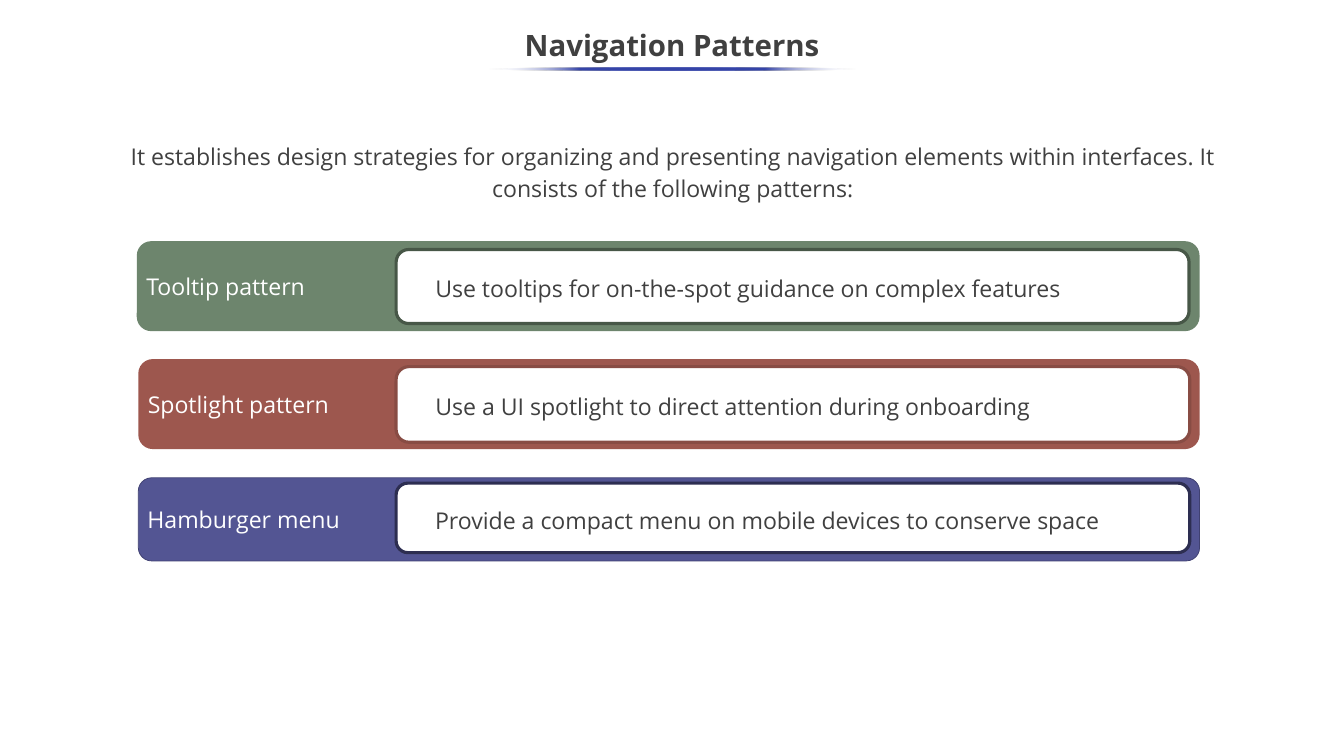
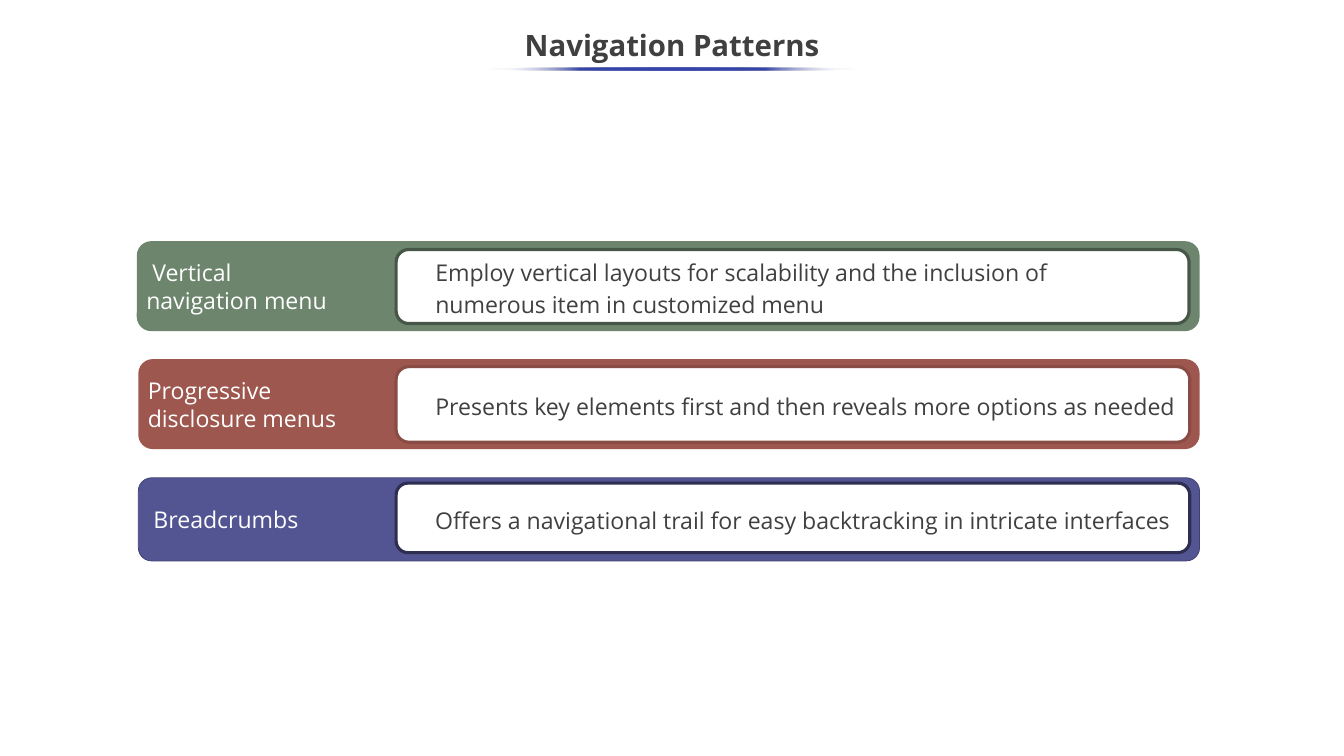
import pptx
import pptx.dml.color
import pptx.enum.shapes
import pptx.enum.text
import pptx.oxml
import pptx.oxml.ns
import pptx.util

PX = 9144  # 100 px to the inch
FONT = "Open Sans"
COLORS = {
    "white": "FFFFFF", "text": "404040", "rule": "3645A9",
    "green": "6D856D", "green_edge": "475747",
    "red": "9D574E", "red_edge": "884C44",
    "blue": "535593", "blue_edge": "2D2E51", "blue_line": "404172",
}
TITLE = "Navigation Patterns"
INTRO = ("It establishes design strategies for organizing and presenting navigation "
         "elements within interfaces. It consists of the following patterns:")

# Each band: fill, outline, card edge, band frame, card frame
BANDS = [
    ("green", None, "green_edge", (181, 319, 1406, 119), (524, 330, 1049, 98)),
    ("red", None, "red_edge", (183, 475, 1404, 119), (524, 485, 1050, 100)),
    ("blue", "blue_line", "blue_edge", (183, 632, 1404, 110), (524, 639, 1050, 92)),
]

# Within a text, \n starts a paragraph and \v breaks a line
SLIDES = [
    (INTRO, [
        ("Tooltip pattern", "Use tooltips for on-the-spot guidance on complex features"),
        ("Spotlight pattern", "Use a UI spotlight to direct attention during onboarding"),
        ("Hamburger menu", "Provide a compact menu on mobile devices to conserve space"),
    ]),
    (None, [
        (" Vertical\nnavigation menu",
         "Employ vertical layouts for scalability and the inclusion of \v"
         "numerous item in customized menu"),
        ("Progressive \vdisclosure menus",
         "Presents key elements first and then reveals more options as needed"),
        (" Breadcrumbs",
         "Offers a navigational trail for easy backtracking in intricate interfaces"),
    ]),
]


def rgb(name):
    return pptx.dml.color.RGBColor.from_string(COLORS[name])


def scaled(frame):
    return [length * PX for length in frame]


def write(box, text, size=22, color="text", bold=False, align="LEFT",
          anchor="MIDDLE", spacing=1.0, indent=0, insets=(7, 4)):
    frame = box.text_frame
    frame.word_wrap = True
    frame.auto_size = pptx.enum.text.MSO_AUTO_SIZE.NONE
    frame.vertical_anchor = pptx.enum.text.MSO_ANCHOR[anchor]
    frame.margin_left = frame.margin_right = insets[0] * PX
    frame.margin_top = frame.margin_bottom = insets[1] * PX
    frame.text = text
    for para in frame.paragraphs:
        para.alignment = pptx.enum.text.PP_ALIGN[align]
        para.line_spacing = spacing
        if indent:
            properties = para._p.get_or_add_pPr()
            properties.set("marL", str(indent * PX))
            properties.set("indent", "0")
        for span in para.runs:
            span.font.name = FONT
            span.font.size = pptx.util.Pt(size)
            span.font.bold = bold
            span.font.color.rgb = rgb(color)


def add_rounded(shapes, frame, fill, line=None, width=1.0, corner=0.16):
    box = shapes.add_shape(pptx.enum.shapes.MSO_SHAPE.ROUNDED_RECTANGLE, *scaled(frame))
    box.shadow.inherit = False
    box.adjustments[0] = corner
    box.fill.solid()
    box.fill.fore_color.rgb = rgb(fill)
    if line:
        box.line.color.rgb = rgb(line)
        box.line.width = pptx.util.Pt(width)
    else:
        box.line.fill.background()
    return box


def add_title(page):
    title = page.shapes.title
    title.left, title.top, title.width, title.height = scaled((-1, 25, 1780, 75))
    write(title, TITLE, size=28, bold=True, align="CENTER", spacing=0.9, insets=(10, 5))


def add_title_rule(page):
    """Thin ellipse that fades out at both ends."""
    rule = page.shapes.add_shape(pptx.enum.shapes.MSO_SHAPE.OVAL, *scaled((646, 89, 487, 4)))
    rule.shadow.inherit = False
    rule.line.fill.background()
    rule.fill.gradient()
    rule.fill.gradient_angle = 180
    stops = rule._element.spPr.find(".//" + pptx.oxml.ns.qn("a:gsLst"))
    for stop in list(stops):
        stops.remove(stop)
    for place, color, alpha in [(0, "white", 0), (25, "rule", 100), (50, "rule", 100),
                                (75, "rule", 100), (100, "white", 0)]:
        stops.append(pptx.oxml.parse_xml(
            f'<a:gs {pptx.oxml.ns.nsdecls("a")} pos="{place * 1000}">'
            f'<a:srgbClr val="{COLORS[color]}"><a:alpha val="{alpha * 1000}"/>'
            f'</a:srgbClr></a:gs>'))


def add_intro(page, text):
    box = page.shapes.add_textbox(*scaled((141, 183, 1498, 99)))
    write(box, text, align="CENTER", anchor="TOP", spacing=1.15, insets=(10, 0))


def add_band(page, style, name, description):
    fill, outline, edge, band_frame, card_frame = style
    group = page.shapes.add_group_shape()
    band = add_rounded(group.shapes, band_frame, fill, outline, width=0.75)
    write(band, name, color="white")
    card = add_rounded(group.shapes, card_frame, "white", edge, width=3, corner=0.17)
    write(card, description, spacing=1.14, indent=40)


def main():
    deck = pptx.Presentation()
    deck.slide_width, deck.slide_height = scaled((1778, 1000))
    title_only = deck.slide_layouts[5]
    for intro, patterns in SLIDES:
        page = deck.slides.add_slide(title_only)
        add_title(page)
        add_title_rule(page)
        for style, (name, description) in zip(BANDS, patterns):
            add_band(page, style, name, description)
        if intro:
            add_intro(page, intro)
    deck.save("out.pptx")


if __name__ == "__main__":
    main()
